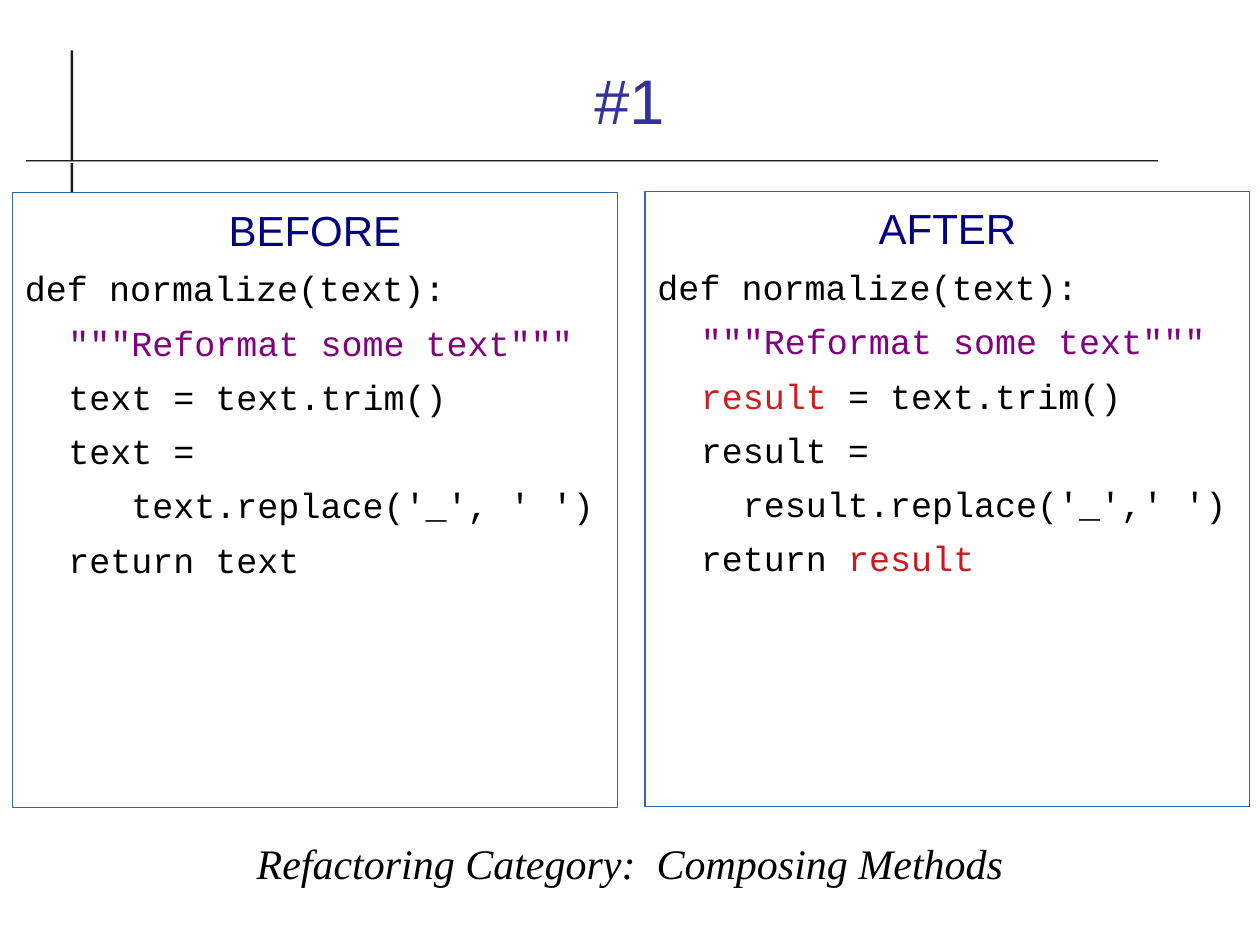
import pptx
import pptx.dml.color
import pptx.enum.shapes
import pptx.enum.text
import pptx.util

WIDTH, HEIGHT = 10, 7.5
PANEL_WIDTH, PANEL_HEIGHT = 4.8, 4.88
PANEL_LEFT, PANEL_STEP = 0.1, 5.02
CENTER = pptx.enum.text.PP_ALIGN.CENTER
LEFT = pptx.enum.text.PP_ALIGN.LEFT
BLACK, INK, PURPLE = "000000", "1C1C1C", "800080"

BEFORE = [
    [("def normalize(text):", BLACK)],
    [("  ", BLACK), ('"""Reformat some text"""', PURPLE)],
    [("  text = text.trim()", BLACK)],
    [("  text =", BLACK)],
    [("     text.replace('_', ' ')", BLACK)],
    [("  return text", BLACK)],
]
AFTER = [
    [("def normalize(text):", BLACK)],
    [("  ", BLACK), ('"""Reformat some text"""', PURPLE)],
    [("  ", BLACK), ("result", "C9211E"), (" = text.trim()", BLACK)],
    [("  result =", BLACK)],
    [("    result.replace('_',' ')", BLACK)],
    [("  return ", BLACK), ("result", "CE181E")],
]


def color(value):
    """Turn a hex string into a colour."""
    return pptx.dml.color.RGBColor.from_string(value)


def inches(*values):
    """Turn numbers into lengths in inches."""
    return [pptx.util.Inches(value) for value in values]


def add_span(para, text, font, size, value, italic=False):
    """Add one formatted run to a paragraph."""
    span = para.add_run()
    span.text = text
    span.font.name = font
    span.font.size = pptx.util.Pt(size)
    span.font.color.rgb = color(value)
    span.font.italic = italic


def add_rectangle(page, *place):
    """Add a plain rectangle without fill, line or shadow."""
    kind = pptx.enum.shapes.MSO_SHAPE.RECTANGLE
    box = page.shapes.add_shape(kind, *inches(*place))
    box.shadow.inherit = False
    box.fill.background()
    box.line.fill.background()
    return box


def add_rules(page):
    """Draw the crossing rules beside and below the title."""
    upright = add_rectangle(page, 0.56, 0.4, 0.02, 1.13)
    upright.fill.solid()
    upright.fill.fore_color.rgb = color(INK)
    level = add_rectangle(page, 0.21, 1.27, 8.98, 0.02)
    level.fill.gradient()
    level.fill.gradient_angle = 90
    for stop, value in zip(level.fill.gradient_stops, ("FFFFFF", INK)):
        stop.color.rgb = color(value)


def add_label(page, place, text, font, size, value, italic=False):
    """Add a centred line of text."""
    box = page.shapes.add_textbox(*inches(*place))
    frame = box.text_frame
    frame.word_wrap = True
    frame.vertical_anchor = pptx.enum.text.MSO_ANCHOR.MIDDLE
    para = frame.paragraphs[0]
    para.alignment = CENTER
    add_span(para, text, font, size, value, italic)


def add_panel(page, column, top, heading, code):
    """Add an outlined panel with a heading and lines of code."""
    left = PANEL_LEFT + column * PANEL_STEP
    box = add_rectangle(page, left, top, PANEL_WIDTH, PANEL_HEIGHT)
    box.line.color.rgb = color("3465A4")
    box.line.width = 0
    frame = box.text_frame
    frame.word_wrap = True
    frame.vertical_anchor = pptx.enum.text.MSO_ANCHOR.TOP
    frame.margin_top = pptx.util.Inches(0.09)
    title = frame.paragraphs[0]
    title.alignment = CENTER
    add_span(title, heading, "Arial", 24, "000080")
    for number, line in enumerate(code):
        para = frame.add_paragraph()
        para.alignment = LEFT
        para.space_before = pptx.util.Pt(7)
        if number:
            properties = para._p.get_or_add_pPr()
            properties.set("marL", str(pptx.util.Inches(0.37)))
            properties.set("indent", str(pptx.util.Inches(-0.36)))
        for text, value in line:
            add_span(para, text, "Courier New", 20, value)


def main():
    """Build the slide and save it."""
    deck = pptx.Presentation()
    deck.slide_width, deck.slide_height = inches(WIDTH, HEIGHT)
    page = deck.slides.add_slide(deck.slide_layouts[6])
    add_rules(page)
    add_label(page, (0.33, 0.25, 9.33, 1.08), "#1", "Arial", 36, "333399")
    add_panel(page, 0, 1.53, "BEFORE", BEFORE)
    add_panel(page, 1, 1.52, "AFTER", AFTER)
    add_label(page, (1.1, 6.6, 7.8, 0.5), "Refactoring Category:  Composing Methods",
              "Times New Roman", 24, BLACK, italic=True)
    deck.save("out.pptx")


if __name__ == "__main__":
    main()
